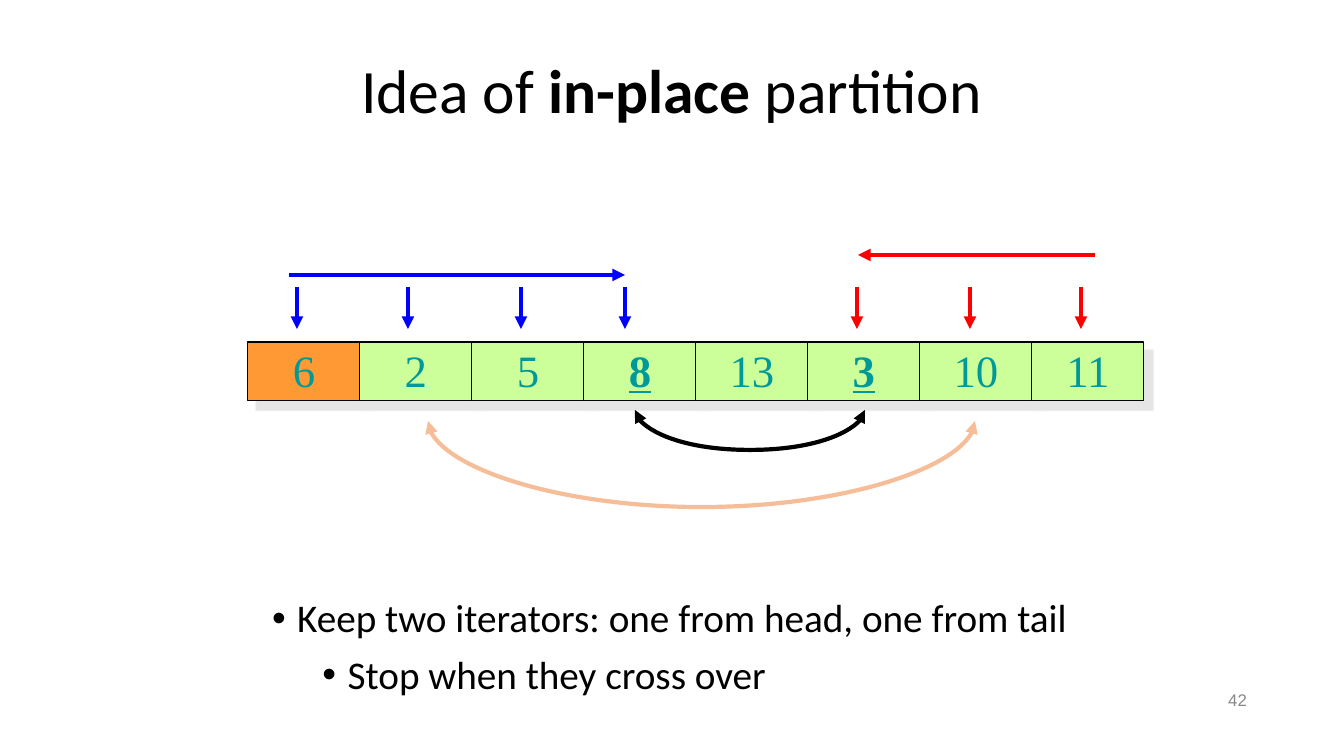
from lxml import etree
from pptx import Presentation
from pptx.dml.color import RGBColor
from pptx.enum.shapes import MSO_CONNECTOR, MSO_SHAPE
from pptx.enum.text import MSO_ANCHOR, PP_ALIGN
from pptx.oxml.ns import qn
from pptx.util import Emu, Inches, Pt

STRAIGHT, RECT = MSO_CONNECTOR.STRAIGHT, MSO_SHAPE.RECTANGLE
TOP, MIDDLE, BOTTOM = MSO_ANCHOR.TOP, MSO_ANCHOR.MIDDLE, MSO_ANCHOR.BOTTOM
LEFT, CENTER, RIGHT = PP_ALIGN.LEFT, PP_ALIGN.CENTER, PP_ALIGN.RIGHT

BLACK = RGBColor(0x00, 0x00, 0x00)
GREY = RGBColor(0x88, 0x88, 0x88)
TEAL = RGBColor(0x00, 0x99, 0x99)
ORANGE = RGBColor(0xFF, 0x99, 0x33)
LIME = RGBColor(0xCC, 0xFF, 0x99)
PEACH = RGBColor(0xF6, 0xBE, 0x98)
BLUE = RGBColor(0x00, 0x00, 0xFF)
RED = RGBColor(0xFF, 0x00, 0x00)
SHADE = RGBColor(0xE7, 0xE6, 0xE6)

SCALE = 914400 / 100.8
TITLE_ONLY = 5


def px(num):
    return Emu(round(num * SCALE))


def add(parent, tag, **attrs):
    return etree.SubElement(parent, qn(tag), {k: str(v) for k, v in attrs.items()})


class Deck:
    """Holds the text and line styles and the current slide."""

    title_font = {"name": "Calibri", "size": Pt(44), "bold": False}
    body_font = {"name": "Calibri", "size": Pt(28)}
    cell_font = {"name": "Times New Roman", "size": Pt(32)}
    page_font = {"name": "Arial", "size": Pt(12)}
    inset = Inches(0.05)
    stroke = Pt(3)

    def __init__(self, wide, high):
        self.prs = Presentation()
        self.prs.slide_width, self.prs.slide_height = px(wide), px(high)
        self.slide = self.prs.slides.add_slide(self.prs.slide_layouts[TITLE_ONLY])
        self.shapes = self.slide.shapes

    def frame(self, shape, anchor):
        frame = shape.text_frame
        values = {"word_wrap": True, "vertical_anchor": anchor}
        for side in ("left", "top", "right", "bottom"):
            values[f"margin_{side}"] = self.inset
        for name, value in values.items():
            setattr(frame, name, value)
        return frame

    def run(self, para, text, style, color, **extra):
        run = para.add_run()
        run.text = text
        for name, value in {**style, **extra}.items():
            setattr(run.font, name, value)
        run.font.color.rgb = color

    def title(self, box, parts):
        """Fill the title from (text, bold) parts."""
        shape = self.shapes.title
        for name, value in zip(("left", "top", "width", "height"), box):
            setattr(shape, name, px(value))
        para = self.frame(shape, MIDDLE).paragraphs[0]
        para.alignment, para.line_spacing = CENTER, 0.9
        for text, bold in parts:
            self.run(para, text, self.title_font, BLACK, bold=bold)

    def cell(self, box, text, fill, marked):
        """Draw one array cell; a marked value is bold and underlined."""
        shape = self.shapes.add_shape(RECT, *map(px, box))
        shape.shadow.inherit = False
        shape.fill.solid()
        shape.fill.fore_color.rgb = fill
        shape.line.color.rgb, shape.line.width = BLACK, Pt(0.75)
        effects = shape._element.spPr.find(qn("a:effectLst"))
        shade = add(effects, "a:outerShdw", blurRad=Pt(1), dist=Pt(8.5),
                    dir=45 * 60000, algn="ctr", rotWithShape=0)
        add(shade, "a:srgbClr", val=SHADE)
        para = self.frame(shape, BOTTOM).paragraphs[0]
        para.alignment = CENTER
        self.run(para, text, self.cell_font, TEAL, bold=marked, underline=marked)

    def heads(self, shape, color, *ends):
        """Style a stroke and put arrowheads on the named ends."""
        shape.line.color.rgb, shape.line.width = color, self.stroke
        line = shape.line._get_or_add_ln()
        for end in ends:
            add(line, f"a:{end}End", type="triangle")

    def arrow(self, start, stop, color):
        shape = self.shapes.add_connector(STRAIGHT, *map(px, start + stop))
        self.heads(shape, color, "tail")
        add(shape._element.spPr, "a:effectLst")

    def swap(self, left, right, top, low, color):
        """Draw a two-headed bow that hangs from top down to low."""
        mid, wide, half = (left + right) / 2, right - left, (top + low) / 2
        points = [(left, half), (left + wide / 4, low), (mid, low),
                  (right - wide / 4, low), (right, half), (right, top)]
        pen = self.shapes.build_freeform(px(left), px(top))
        pen.add_line_segments([(px(x), px(y)) for x, y in points], close=False)
        shape = pen.convert_to_shape()
        shape.shadow.inherit = False
        shape.fill.background()
        path = next(shape._element.iter(qn("a:path")))
        steps = path.findall(qn("a:lnTo"))
        for first in range(0, len(steps), 3):
            curve = add(path, "a:cubicBezTo")
            for step in steps[first:first + 3]:
                curve.append(step[0])
                path.remove(step)
        self.heads(shape, color, "head", "tail")

    def text(self, box, lines, style, color, anchor=TOP, align=LEFT):
        """Add a text box and return its paragraphs."""
        frame = self.frame(self.shapes.add_textbox(*map(px, box)), anchor)
        for num, line in enumerate(lines):
            para = frame.add_paragraph() if num else frame.paragraphs[0]
            para.alignment = align
            self.run(para, line, style, color)
        return frame.paragraphs

    def bullets(self, box, lines):
        """Add bullets, each one level deeper than the last."""
        for level, para in enumerate(self.text(box, lines, self.body_font, BLACK)):
            para.level, para.line_spacing, para.space_before = level, 0.9, Pt(10)
            props = para._p.get_or_add_pPr()
            props.set("marL", str(Inches(0.25 + 0.5 * level)))
            props.set("indent", str(-Inches(0.25)))
            add(props, "a:buFont", typeface="Arial")
            add(props, "a:buChar", char="•")


def main():
    deck = Deck(1344, 756)
    deck.swap(428, 975, 421, 507, PEACH)
    deck.title((92, 40, 1159, 108),
               [("Idea of ", False), ("in-place", True), (" partition", False)])

    pitch = 112
    for num, value in enumerate((6, 2, 5, 8, 13, 3, 10, 11)):
        fill = LIME if num else ORANGE
        deck.cell((248 + pitch * num, 342, pitch, 59), str(value), fill,
                  value in (8, 3))

    deck.text((950, 685, 302, 29), ["42"], deck.page_font, GREY, MIDDLE, RIGHT)
    deck.bullets((267, 594, 1159, 145),
                 ["Keep two iterators: one from head, one from tail",
                  "Stop when they cross over"])

    for color, stops in ((BLUE, (297, 408, 521, 625)), (RED, (857, 970, 1081))):
        for x in stops:
            deck.arrow((x, 287), (x, 329), color)
    deck.arrow((289, 275), (625, 275), BLUE)
    deck.arrow((1095, 255), (858, 255), RED)
    deck.swap(635, 865, 410, 450, BLACK)
    deck.prs.save("out.pptx")


if __name__ == "__main__":
    main()
